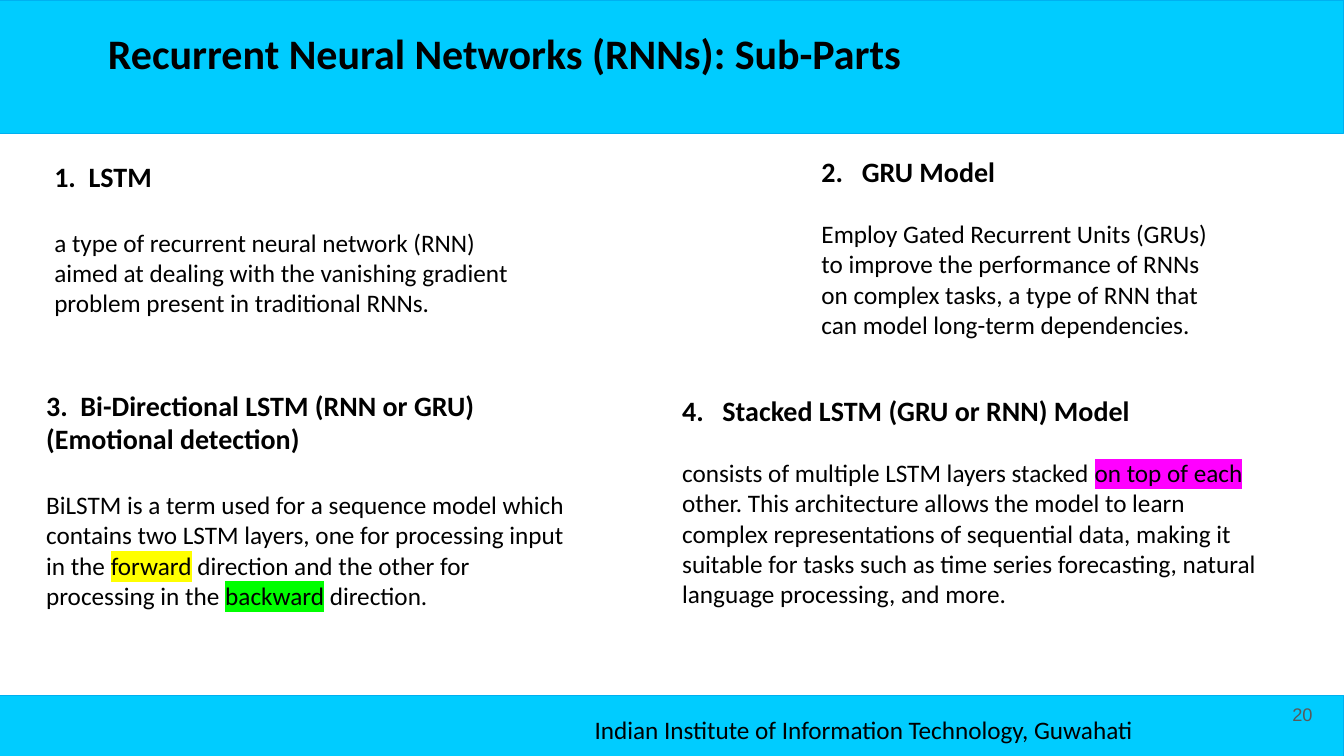
"""Builds the slide on the sub-parts of recurrent neural networks."""
from lxml import etree
from pptx import Presentation
from pptx.dml.color import RGBColor
from pptx.enum.shapes import MSO_SHAPE
from pptx.enum.text import MSO_ANCHOR, MSO_AUTO_SIZE, PP_ALIGN
from pptx.oxml.ns import qn
from pptx.util import Inches, Pt

RECTANGLE = MSO_SHAPE.RECTANGLE
TOP, MIDDLE = MSO_ANCHOR.TOP, MSO_ANCHOR.MIDDLE
LEFT, RIGHT = PP_ALIGN.LEFT, PP_ALIGN.RIGHT
FIXED = MSO_AUTO_SIZE.NONE

BLACK = RGBColor(0x00, 0x00, 0x00)
GREY = RGBColor(0x59, 0x59, 0x59)
CYAN = RGBColor(0x00, 0xCC, 0xFF)
BORDER_BLUE = RGBColor(0x00, 0xB0, 0xF0)
YELLOW = RGBColor(0xFF, 0xFF, 0x00)
GREEN = RGBColor(0x00, 0xFF, 0x00)
MAGENTA = RGBColor(0xFF, 0x00, 0xFF)

TITLE_ONLY = 5

TOPICS = [
    ((3.3, 20.4, 36.23, 25.6), "1.", "LSTM", 0.34, 24.4, [
        ("a type of recurrent neural network (RNN) aimed at dealing with the "
         "vanishing gradient problem present in traditional RNNs.", None)]),
    ((60.38, 19.73, 31.5, 29.2), "2.", "GRU Model", 0.4, 22, [
        ("Employ Gated Recurrent Units (GRUs) to improve the performance of RNNs "
         "on complex tasks, a type of RNN that can model long-term dependencies.", None)]),
    ((2.7, 50.67, 40.8, 38.53), "3.",
     "Bi-Directional LSTM (RNN or GRU) (Emotional detection)", 0.34, 24.4, [
        ("BiLSTM is a term used for a sequence model which contains two LSTM layers, "
         "one for processing input in the ", None),
        ("forward", YELLOW),
        (" direction and the other for processing in the ", None),
        ("backward", GREEN),
        (" direction.", None)]),
    ((50.02, 51.33, 45.68, 37.2), "4.", "Stacked LSTM (GRU or RNN) Model", 0.4, 22, [
        ("consists of multiple LSTM layers stacked ", None),
        ("on top of each ", MAGENTA),
        ("other. This architecture allows the model to learn complex representations "
         "of sequential data, making it suitable for tasks such as time series "
         "forecasting, natural language processing, and more.", None)]),
]


class TopicSlide:
    """Holds the style and the slide; boxes are in percent of the slide's size."""

    def __init__(self, presentation):
        self.width = presentation.slide_width
        self.height = presentation.slide_height
        self.slide = presentation.slides.add_slide(presentation.slide_layouts[TITLE_ONLY])
        self.shapes = self.slide.shapes
        self.font_name = "Calibri"

    def place(self, box):
        """Turns percentages into slide lengths."""
        sizes = (self.width, self.height) * 2
        return [round(size * share / 100) for size, share in zip(sizes, box)]

    def style(self, paragraph, size, bold=False, color=BLACK, font_name=None):
        """Sets the font of a whole paragraph."""
        font = paragraph.font
        font.name = font_name or self.font_name
        font.size = Pt(size)
        font.bold = bold
        font.color.rgb = color

    def banner(self, box):
        """Adds a full-width band behind the title."""
        shape = self.shapes.add_shape(RECTANGLE, *self.place(box))
        shape.shadow.inherit = False
        shape.fill.solid()
        shape.fill.fore_color.rgb = CYAN
        shape.line.color.rgb = BORDER_BLUE
        shape.line.width = Pt(0.75)
        self.shapes.title.element.addprevious(shape.element)

    def title(self, box, text):
        """Fills and moves the title placeholder."""
        shape = self.shapes.title
        shape.left, shape.top, shape.width, shape.height = self.place(box)
        frame = shape.text_frame
        frame.text = text
        frame.auto_size = FIXED
        frame.vertical_anchor = TOP
        paragraph = frame.paragraphs[0]
        paragraph.alignment = LEFT
        self.style(paragraph, 30, bold=True)

    def text_box(self, box):
        """Adds an empty wrapping text box and returns its frame."""
        frame = self.shapes.add_textbox(*self.place(box)).text_frame
        frame.word_wrap = True
        return frame

    def label(self, box, text, size, **style):
        """Adds one line of text and returns its frame."""
        frame = self.text_box(box)
        frame.text = text
        self.style(frame.paragraphs[0], size, **style)
        return frame

    def slide_number(self, box, text):
        """Adds the number at the right of the footer."""
        frame = self.label(box, text, 13, color=GREY, font_name="Arial")
        frame.vertical_anchor = MIDDLE
        frame.margin_left = frame.margin_right = Inches(0.13)
        frame.margin_top = frame.margin_bottom = Inches(0.13)
        frame.paragraphs[0].alignment = RIGHT

    def highlight(self, run, color):
        """Marks a run with a background colour."""
        mark = etree.Element(qn("a:highlight"))
        etree.SubElement(mark, qn("a:srgbClr"), val=str(color))
        run.font.fill.solid()
        run.font.fill.fore_color.rgb = BLACK
        run.font.fill  
        run.font.language_id = None
        run._r.get_or_add_rPr().find(qn("a:solidFill")).addnext(mark)

    def tab_stop(self, paragraph, inches):
        """Sets where the heading starts after its number."""
        properties = paragraph._p.get_or_add_pPr()
        stops = etree.Element(qn("a:tabLst"))
        etree.SubElement(stops, qn("a:tab"), pos=str(Inches(inches)), algn="l")
        properties.find(qn("a:defRPr")).addprevious(stops)

    def topic(self, box, number, heading, indent, gap, pieces):
        """Adds a numbered heading with its description."""
        frame = self.label(box, f"{number}\t{heading}", 20, bold=True)
        paragraph = frame.paragraphs[0]
        paragraph.space_after = Pt(gap)
        self.tab_stop(paragraph, indent)
        description = frame.add_paragraph()
        self.style(description, 18)
        for text, color in pieces:
            run = description.add_run()
            run.text = text
            if color is not None:
                self.highlight(run, color)


def main():
    """Builds and saves the slide."""
    presentation = Presentation()
    presentation.slide_width = Inches(13.33)
    presentation.slide_height = Inches(7.5)
    slide = TopicSlide(presentation)
    slide.banner((0, 0, 100, 17.6))
    slide.banner((0, 92, 100, 9.07))
    slide.title((7.28, 2.93, 62.33, 8.13), "Recurrent Neural Networks (RNNs): Sub-Parts")
    slide.label((43.5, 93.87, 42.98, 5.33),
                "Indian Institute of Information Technology, Guwahati", 18)
    slide.slide_number((92.63, 90.67, 6, 7.6), "20")
    for topic in TOPICS:
        slide.topic(*topic)
    presentation.save("out.pptx")


if __name__ == "__main__":
    main()
